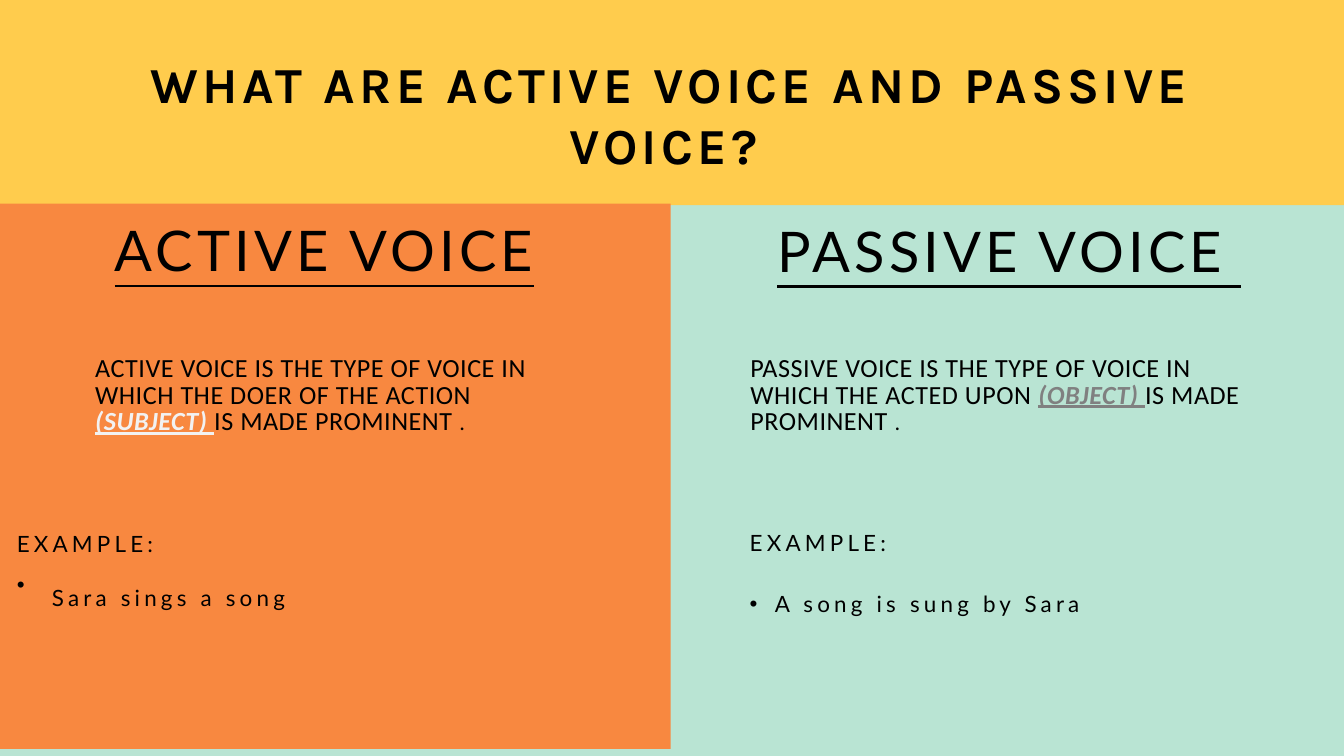
from dataclasses import dataclass

from lxml.etree import SubElement
from pptx import Presentation
from pptx.dml.color import RGBColor
from pptx.enum.shapes import MSO_SHAPE as SHAPE
from pptx.enum.text import MSO_ANCHOR as ANCHOR, MSO_AUTO_SIZE as AUTO, PP_ALIGN as ALIGN
from pptx.oxml.ns import qn
from pptx.util import Emu, Pt

PX = 9525  # EMU per px


@dataclass(frozen=True)
class Theme:
    mint: str = "B9E4D3"
    yellow: str = "FFCC4D"
    orange: str = "F88840"
    ink: str = "000000"
    pale: str = "F2F2F2"
    grey: str = "808080"
    title_font: str = "Karla"
    voice_font: str = "Lato"
    text_font: str = "Calibri"
    title: int = 54
    heading: int = 60
    definition: int = 28
    example: int = 24
    wide_line: float = 66
    tight_line: float = 28.8
    wide_spc: int = 450
    tight_spc: int = 60


@dataclass(frozen=True)
class Voice:
    """Wording of one panel, and its part boxes relative to the panel."""
    heading: str
    definition: str
    key: str
    key_color: str
    example: str
    heading_box: tuple
    definition_box: tuple
    example_box: tuple
    tail_size: int = 0


T = Theme()

ACTIVE = Voice(
    "ACTIVE VOICE",
    "ACTIVE VOICE IS THE TYPE OF VOICE IN WHICH THE DOER OF THE ACTION ",
    "(SUBJECT) ", T.pale, " Sara sings a song",
    (-5, 25, 941, 91), (138, 217, 687, 156), (26, 416, 684, 180), tail_size=60)
PASSIVE = Voice(
    "PASSIVE VOICE ",
    "PASSIVE VOICE IS THE TYPE OF VOICE IN WHICH THE ACTED UPON ",
    "(OBJECT) ", T.grey, "A song is sung by Sara",
    (24, 26, 920, 91), (114, 217, 713, 117), (113, 415, 1172, 178))


def place(sp, box, origin=(0, 0)):
    x, y, w, h = box
    sp.left, sp.top = Emu((origin[0] + x) * PX), Emu((origin[1] + y) * PX)
    sp.width, sp.height = Emu(w * PX), Emu(h * PX)


def setup_frame(sp):
    tf = sp.text_frame
    tf.word_wrap = True
    tf.auto_size = AUTO.NONE
    tf.vertical_anchor = ANCHOR.TOP
    tf.margin_left = tf.margin_right = tf.margin_top = tf.margin_bottom = 0
    return tf


def format_paragraph(p, line, align=ALIGN.LEFT, bullet=False):
    pPr = p._p.get_or_add_pPr()
    indent = 36 * PX if bullet else 0
    pPr.set("marL", str(indent))
    pPr.set("indent", str(-indent))
    if bullet:
        SubElement(pPr, qn("a:buChar")).set("char", "•")
    else:
        SubElement(pPr, qn("a:buNone"))
    p.alignment = align
    p.line_spacing = Pt(line)
    p.space_before = p.space_after = Pt(0)


def add_run(p, text, font, size, spc, color=T.ink, bold=False, italic=False, underline=False):
    r = p.add_run()
    r.text = text
    f = r.font
    f.name, f.size = font, Pt(size)
    f.bold, f.italic, f.underline = bold, italic, underline
    f.color.rgb = RGBColor.from_string(color)
    r._r.get_or_add_rPr().set("spc", str(spc))


def add_band(s, box, color):
    """Add a plain rectangle behind the placeholders."""
    sp = s.shapes.add_shape(SHAPE.RECTANGLE, 0, 0, 0, 0)
    place(sp, box)
    sp.fill.solid()
    sp.fill.fore_color.rgb = RGBColor.from_string(color)
    sp.line.fill.background()
    sp.shadow.inherit = False
    s.shapes._spTree.insert(2, sp._element)


def add_title(s, box):
    add_band(s, box, T.yellow)
    sp = s.shapes.title
    place(sp, (108, 83, 1704, 178), box)
    p = setup_frame(sp).paragraphs[0]
    format_paragraph(p, T.wide_line, ALIGN.CENTER)
    add_run(p, "WHAT ARE ACTIVE VOICE AND PASSIVE VOICE? ",
            T.title_font, T.title, T.wide_spc, bold=True)


def add_voice(s, box, voice, heading, body):
    place(heading, voice.heading_box, box)
    p = setup_frame(heading).paragraphs[0]
    format_paragraph(p, T.wide_line, ALIGN.CENTER)
    add_run(p, voice.heading, T.voice_font, T.heading, T.wide_spc, underline=True)

    sp = s.shapes.add_textbox(0, 0, 0, 0)
    place(sp, voice.definition_box, box)
    p = setup_frame(sp).paragraphs[0]
    format_paragraph(p, T.tight_line)
    style = (T.text_font, T.definition, T.tight_spc)
    add_run(p, voice.definition, *style)
    add_run(p, voice.key, *style, voice.key_color, True, True, True)
    add_run(p, "IS MADE PROMINENT ", *style)
    add_run(p, ".", T.text_font, T.example, T.tight_spc)

    place(body, voice.example_box, box)
    tf = setup_frame(body)
    for p, text, bullet in ((tf.paragraphs[0], "EXAMPLE:", False),
                            (tf.add_paragraph(), voice.example, True)):
        format_paragraph(p, T.wide_line, bullet=bullet)
        add_run(p, text, T.voice_font, T.example, T.wide_spc)
    if voice.tail_size:
        add_run(p, " ", T.voice_font, voice.tail_size, T.wide_spc)


def main():
    prs = Presentation()
    prs.slide_width, prs.slide_height = Emu(1920 * PX), Emu(1080 * PX)
    s = prs.slides.add_slide(prs.slide_layouts.get_by_name("Comparison"))
    s.background.fill.solid()
    s.background.fill.fore_color.rgb = RGBColor.from_string(T.mint)

    active_box = (-2, 291, 960, 779)
    passive_box = (958, 291, 962, 789)
    ph = s.placeholders
    add_band(s, active_box, T.orange)
    add_title(s, (0, -9, 1920, 302))
    add_voice(s, active_box, ACTIVE, ph[1], ph[2])
    add_voice(s, passive_box, PASSIVE, ph[3], ph[4])
    prs.save("out.pptx")


if __name__ == "__main__":
    main()
